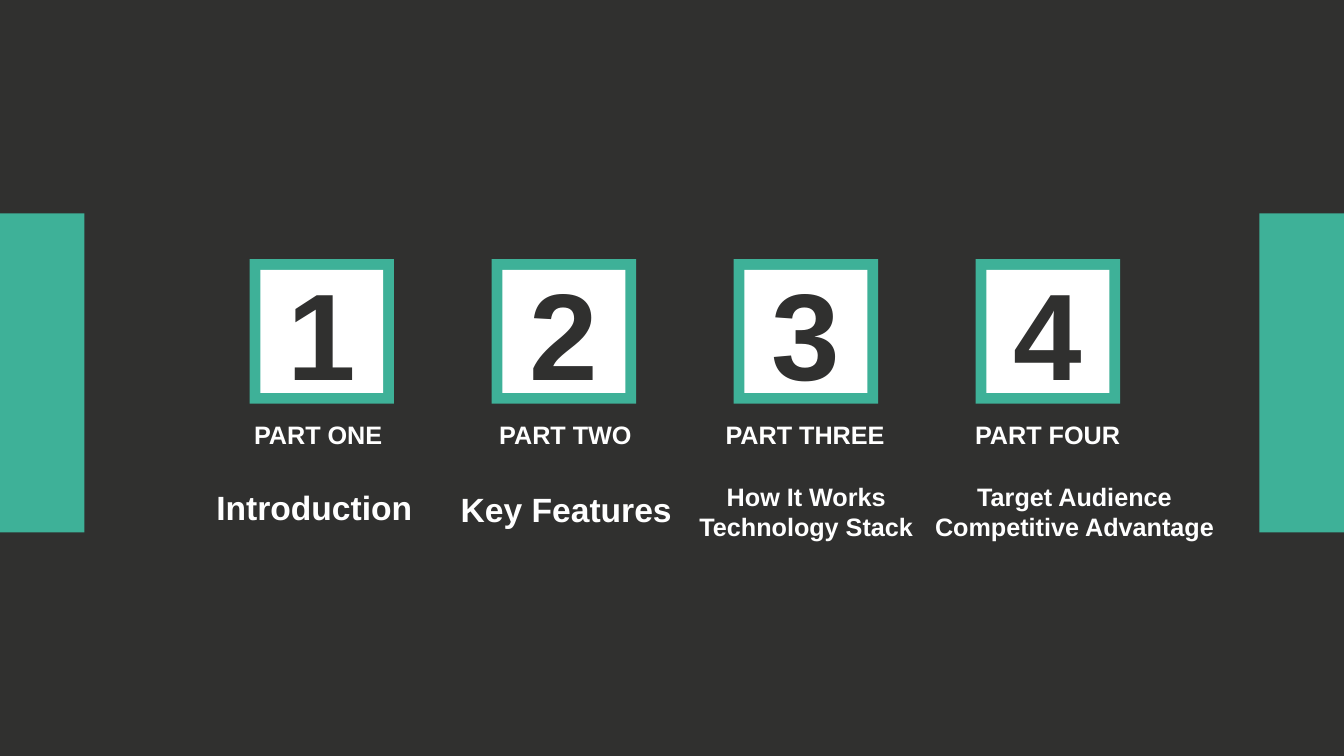
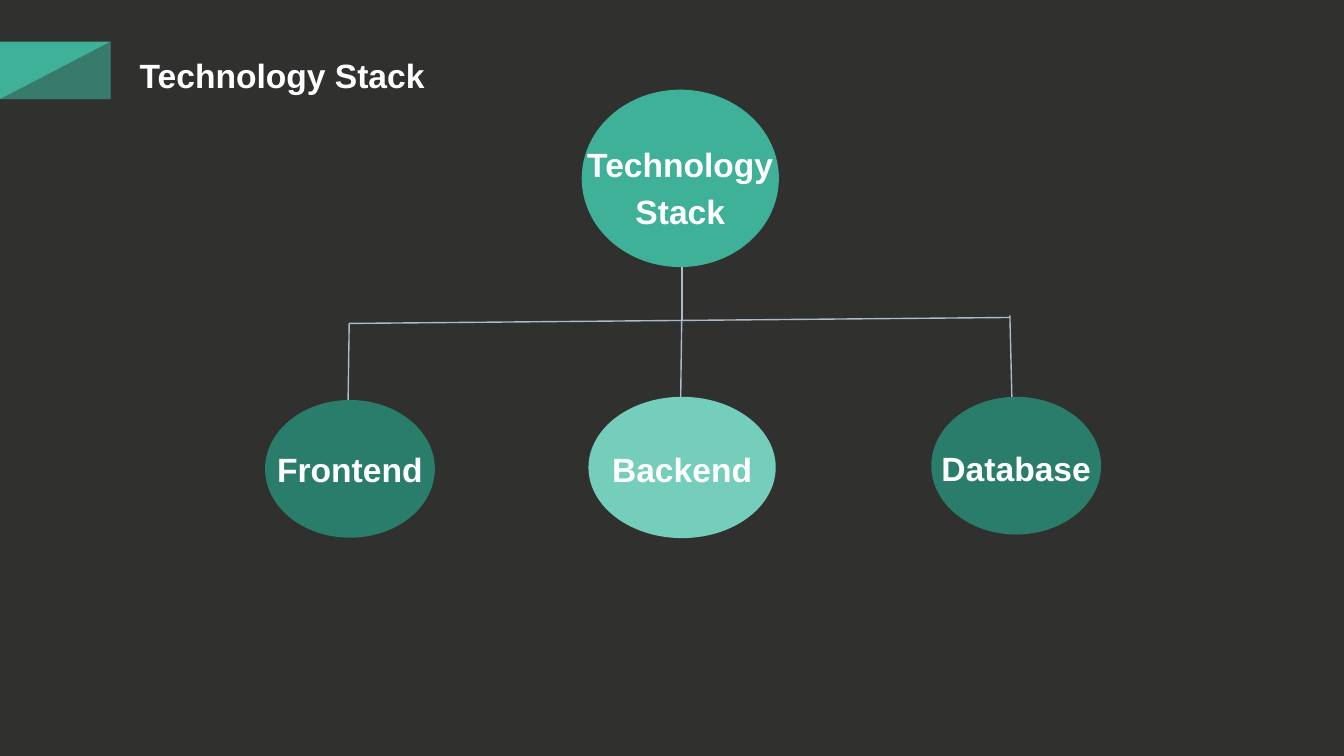
from dataclasses import dataclass

from lxml.etree import SubElement
from pptx import Presentation
from pptx.dml.color import RGBColor
from pptx.enum.shapes import MSO_CONNECTOR, MSO_SHAPE
from pptx.enum.text import MSO_ANCHOR, PP_ALIGN
from pptx.oxml.ns import qn
from pptx.util import Cm, Pt


# Colours and type sizes
@dataclass(frozen=True)
class Theme:
    dark: RGBColor = RGBColor.from_string("30302F")
    green: RGBColor = RGBColor.from_string("3EB198")
    deep: RGBColor = RGBColor.from_string("2B7D6B")
    mint: RGBColor = RGBColor.from_string("74CEBB")
    grey: RGBColor = RGBColor.from_string("ADBACA")
    white: RGBColor = RGBColor.from_string("FFFFFF")
    font: str = "Arial"
    digit: int = 88
    head: int = 24
    label: int = 18


THEME = Theme()
WIDE, HIGH = 33.87, 19.05


# Kinds of element; all lengths are centimetres
def write(frame, lines, size, color=THEME.white, align=PP_ALIGN.CENTER, gap=0):
    frame.word_wrap = False
    for i, line in enumerate(lines):
        para = frame.add_paragraph() if i else frame.paragraphs[0]
        para.text = line
        para.alignment = align
        if i and gap:
            para.space_before = Pt(gap)
        font = para.font
        font.name, font.size, font.bold = THEME.font, Pt(size), True
        font.color.rgb = color


def add_form(shapes, kind, box, color):
    form = shapes.add_shape(kind, *map(Cm, box))
    form.shadow.inherit = False
    form.fill.solid()
    form.fill.fore_color.rgb = color
    form.line.fill.background()
    frame = form.text_frame
    frame.vertical_anchor = MSO_ANCHOR.MIDDLE
    frame.margin_left = frame.margin_right = 0
    frame.margin_top = frame.margin_bottom = 0
    return form


def add_text(slide, box, lines, size, align=PP_ALIGN.CENTER):
    text = slide.shapes.add_textbox(*map(Cm, box))
    write(text.text_frame, lines, size, align=align)


def add_line(slide, start, end):
    line = slide.shapes.add_connector(
        MSO_CONNECTOR.STRAIGHT, *map(Cm, start + end))
    line.line.color.rgb = THEME.grey
    line.line.width = Pt(1)
    SubElement(line.element.spPr, qn("a:effectLst"))


def add_node(slide, box, color, lines, drop=0):
    node = add_form(slide.shapes, MSO_SHAPE.OVAL, box, color)
    node.text_frame.margin_top = Cm(drop)
    write(node.text_frame, lines, THEME.head, gap=4.8)


def add_title(slide, title):
    # Two-tone flag: a translucent dark triangle over a green band
    flag = slide.shapes.add_group_shape().shapes
    box = (0, 1.05, 2.79, 1.45)
    add_form(flag, MSO_SHAPE.RECTANGLE, box, THEME.green)
    fold = add_form(flag, MSO_SHAPE.RIGHT_TRIANGLE, box, THEME.dark)
    fold.element.spPr.get_or_add_xfrm().set("flipH", "1")
    tint = fold.element.spPr.find(qn("a:solidFill"))[0]
    SubElement(tint, qn("a:alpha")).set("val", "42000")
    add_text(slide, (3.27, 1.27, 7.7, 1.27), [title], THEME.head,
             PP_ALIGN.LEFT)


def add_part(slide, index, label, name, lines, size, mid, top):
    side, rim, wide = 3.64, 0.27, 9
    left, high = 6.29 + 6.1 * index, 6.53
    add_form(slide.shapes, MSO_SHAPE.RECTANGLE, (left, high, side, side),
             THEME.green)
    inner = side - 2 * rim
    tile = add_form(slide.shapes, MSO_SHAPE.RECTANGLE,
                    (left + rim, high + rim, inner, inner), THEME.white)
    write(tile.text_frame, [str(index + 1)], THEME.digit, THEME.dark)
    add_text(slide, (name - wide / 2, 10.44, wide, 1.02), [label],
             THEME.label)
    add_text(slide, (mid - wide / 2, top, wide, 1.27), lines, size)


# Slides
def add_parts(slide):
    wide = 2.13
    for left in (0, WIDE - wide):
        add_form(slide.shapes, MSO_SHAPE.RECTANGLE, (left, 5.38, wide, 8.04),
                 THEME.green)
    # Label and its centre, caption lines, size, centre and top
    parts = [
        ("PART ONE", 8.02, ["Introduction"], THEME.head, 7.92, 12.14),
        ("PART TWO", 14.25, ["Key Features"], THEME.head, 14.27, 12.19),
        ("PART THREE", 20.29, ["How It Works", "Technology Stack"],
         THEME.label, 20.32, 12.01),
        ("PART FOUR", 26.4, ["Target Audience", "Competitive Advantage"],
         THEME.label, 27.08, 12.01),
    ]
    for index, part in enumerate(parts):
        add_part(slide, index, *part)


def add_stack(slide):
    add_title(slide, "Technology Stack")
    # Branches, drawn behind the nodes
    lines = [
        ((25.5, 10.01), (25.45, 7.95)),
        ((17.15, 10.4), (17.18, 8.05)),
        ((8.77, 10.24), (8.8, 8.15)),
        ((8.8, 8.15), (25.43, 8)),
        ((17.19, 8.1), (17.19, 6.73)),
    ]
    for start, end in lines:
        add_line(slide, start, end)
    # Root and its three layers
    add_node(slide, (14.66, 2.26, 4.97, 4.47), THEME.green,
             ["Technology", "Stack"], 0.45)
    add_node(slide, (23.47, 10, 4.28, 3.47), THEME.deep, ["Database"], 0.1)
    add_node(slide, (14.83, 10, 4.72, 3.56), THEME.mint, ["Backend"], 0.1)
    add_node(slide, (6.68, 10.08, 4.28, 3.47), THEME.deep, ["Frontend"])


def main():
    deck = Presentation()
    deck.slide_width, deck.slide_height = Cm(WIDE), Cm(HIGH)
    ground = deck.slide_master.background.fill
    ground.solid()
    ground.fore_color.rgb = THEME.dark
    for build in (add_parts, add_stack):
        build(deck.slides.add_slide(deck.slide_layouts[6]))
    deck.save("out.pptx")


if __name__ == "__main__":
    main()
